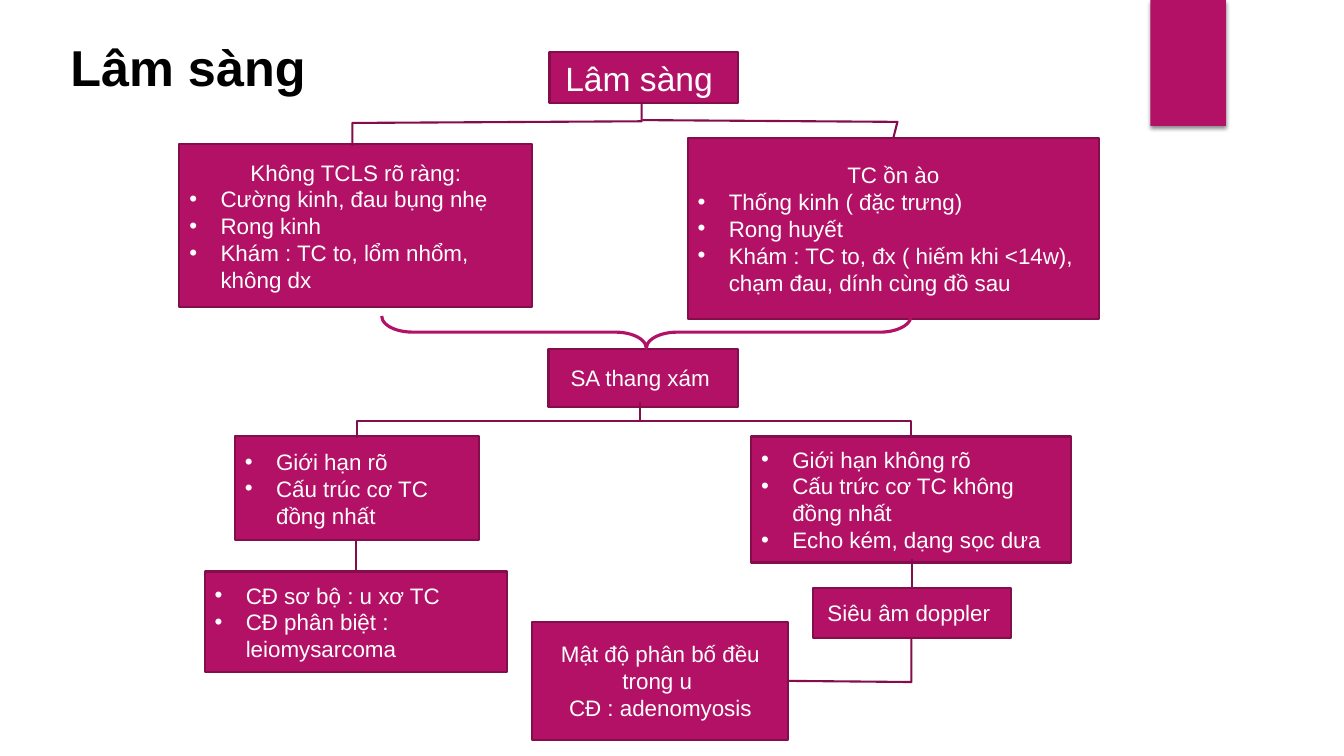
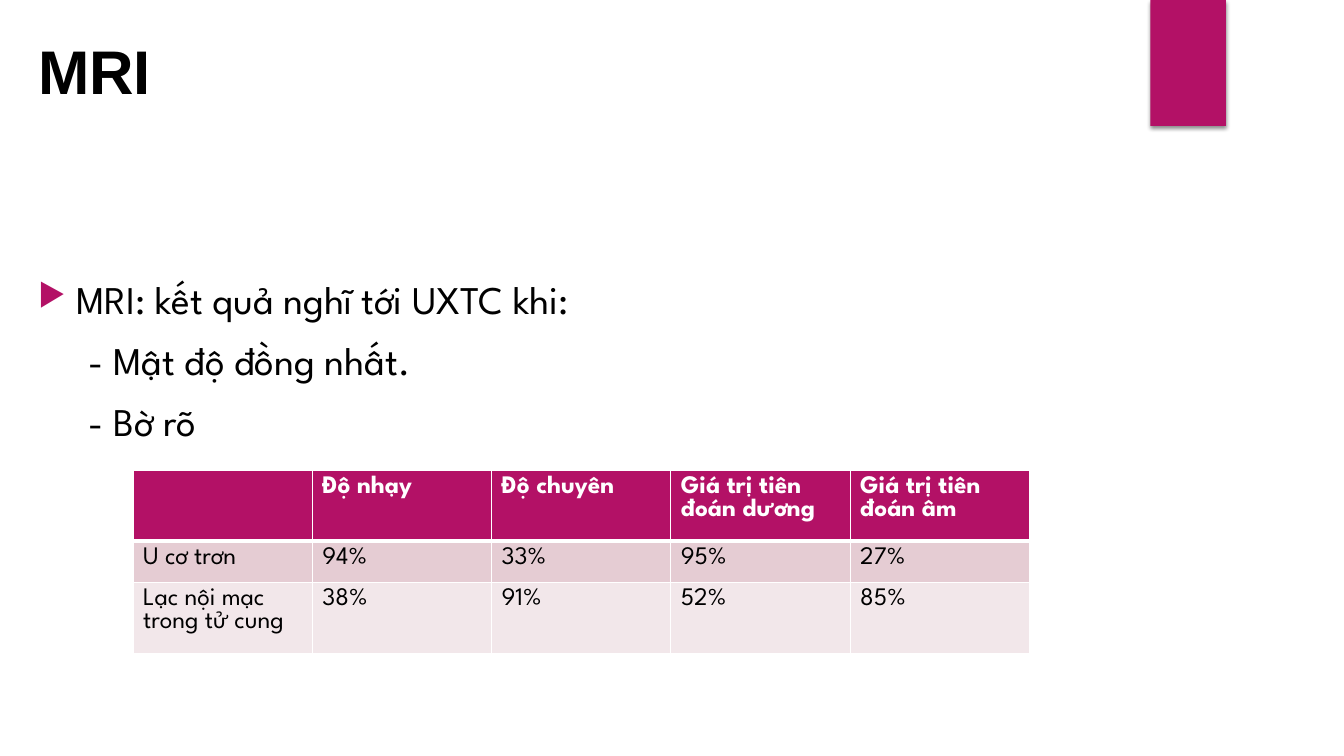
from lxml import etree
from pptx import Presentation
from pptx.dml.color import RGBColor
from pptx.enum.shapes import MSO_SHAPE
from pptx.enum.text import MSO_ANCHOR, PP_ALIGN
from pptx.oxml import parse_xml
from pptx.oxml.ns import nsdecls, qn
from pptx.util import Inches, Pt

MAGENTA = "B31166"
DARK_MAGENTA = "840D4B"
PINK = "E5CCD3"
PALE_PINK = "F2E7EA"
WHITE = "FFFFFF"
BLACK = "000000"


def color(hex_text):
    return RGBColor.from_string(hex_text)


def format_paragraph(paragraph, size, font_color, font_name="Arial", bold=False,
                     bullet=None, margin=0, indent=0):
    """Set indents, an optional bullet (a list of XML parts) and the run fonts."""
    properties = paragraph._p.get_or_add_pPr()
    properties.set("marL", str(Inches(margin)))
    properties.set("indent", str(Inches(indent)))
    for part in bullet or []:
        properties.append(parse_xml(part))
    for run in paragraph.runs:
        run.font.name = font_name
        run.font.size = Pt(size)
        run.font.bold = bold
        run.font.color.rgb = color(font_color)


namespace = nsdecls("a")
DOT = [f'<a:buFont {namespace} typeface="Arial"/>', f'<a:buChar {namespace} char="•"/>']
TRIANGLE = [
    f'<a:buClr {namespace}><a:srgbClr val="{MAGENTA}"/></a:buClr>',
    f'<a:buSzPct {namespace} val="80000"/>',
    f'<a:buChar {namespace} char="▶"/>',
]

presentation = Presentation()
presentation.slide_width = Inches(13.33)
presentation.slide_height = Inches(7.5)

# Shared band and title: text, size, left, top, width, height
titles = [
    ("Lâm sàng", 36, 0.6, 0.3, 2.65, 0.71),
    ("MRI", 44, 0.28, 0.4, 5.29, 0.58),
]
for title, size, left, top, width, height in titles:
    slide = presentation.slides.add_slide(presentation.slide_layouts[6])
    band = slide.shapes.add_shape(
        MSO_SHAPE.RECTANGLE, Inches(11.41), 0, Inches(0.75), Inches(1.25))
    band.fill.solid()
    band.fill.fore_color.rgb = color(MAGENTA)
    band.line.fill.background()
    band._element.spPr.append(parse_xml(
        f'<a:effectLst {namespace}><a:outerShdw blurRad="38100" dist="25400" dir="5400000">'
        f'<a:srgbClr val="{BLACK}"><a:alpha val="45000"/></a:srgbClr>'
        '</a:outerShdw></a:effectLst>'))

    title_box = slide.shapes.add_textbox(
        Inches(left), Inches(top), Inches(width), Inches(height))
    title_box.text_frame.word_wrap = True
    title_box.text_frame.vertical_anchor = MSO_ANCHOR.MIDDLE
    title_box.text_frame.text = title
    format_paragraph(title_box.text_frame.paragraphs[0], size, BLACK, bold=True)

flow_slide, mri_slide = presentation.slides

# Flowchart boxes: shape, position, leader line, font size, heading lines, bulleted lines
flow_boxes = [
    (MSO_SHAPE.RECTANGLE, (5.45, 0.52, 1.87, 0.5), [], 24, ["Lâm sàng "], []),
    (MSO_SHAPE.LINE_CALLOUT_3, (1.78, 1.43, 3.5, 1.62),
     [0.01, 0.49, -0.13, 0.49, -0.14, 1.31, -0.26, 1.31], 16,
     ["Không TCLS rõ ràng:"],
     ["Cường kinh, đau bụng nhẹ", "Rong kinh", "Khám : TC to, lổm nhổm, không dx"]),
    (MSO_SHAPE.LINE_CALLOUT_2, (6.82, 1.37, 4.08, 1.79),
     [0, 0.5, -0.09, 0.51, -0.1, -0.11], 16,
     ["TC ồn ào"],
     ["Thống kinh ( đặc trưng)", "Rong huyết",
      "Khám : TC to, đx ( hiếm khi <14w), chạm đau, dính cùng đồ sau"]),
    (MSO_SHAPE.RECTANGLE, (5.44, 3.46, 1.88, 0.58), [], 16, ["SA thang xám "], []),
    (MSO_SHAPE.LINE_CALLOUT_3, (2.33, 4.33, 2.42, 1.03),
     [0.02, 0.5, -0.15, 0.5, -0.15, 1.66, -0.33, 1.66], 16,
     [], ["Giới hạn rõ", "Cấu trúc cơ TC đồng nhất"]),
    (MSO_SHAPE.LINE_CALLOUT_2, (7.45, 4.33, 3.17, 1.25),
     [-0.01, 0.5, -0.12, 0.5, -0.12, -0.35], 16,
     [], ["Giới hạn không rõ", "Cấu trức cơ TC không đồng nhất", "Echo kém, dạng sọc dưa"]),
    (MSO_SHAPE.LINE_CALLOUT_1, (2.03, 5.67, 3, 1), [-0.01, 0.5, -0.32, 0.5], 16,
     [], ["CĐ sơ bộ : u xơ TC", "CĐ phân biệt : leiomysarcoma"]),
    (MSO_SHAPE.LINE_CALLOUT_1, (8.06, 5.83, 1.97, 0.5), [-0.01, 0.5, -0.56, 0.5], 16,
     ["Siêu âm doppler "], []),
    (MSO_SHAPE.LINE_CALLOUT_2, (5.28, 6.17, 2.54, 1.17),
     [0.5, 1, 0.51, 1.48, 0.14, 1.48], 16,
     ["Mật độ phân bố đều trong u ", "CĐ : adenomyosis"], []),
]
for preset, position, leader, size, headings, bullets in flow_boxes:
    box = flow_slide.shapes.add_shape(preset, *[Inches(value) for value in position])
    for index, value in enumerate(leader):
        box.adjustments[index] = value
    box.shadow.inherit = False
    box.fill.solid()
    box.fill.fore_color.rgb = color(MAGENTA)
    box.line.color.rgb = color(DARK_MAGENTA)
    box.line.width = Pt(1.5)
    frame = box.text_frame
    frame.word_wrap = True
    frame.vertical_anchor = MSO_ANCHOR.MIDDLE
    frame.text = "\n".join(headings + bullets)
    for index, paragraph in enumerate(frame.paragraphs):
        if index < len(headings):
            paragraph.alignment = PP_ALIGN.CENTER
            format_paragraph(paragraph, size, WHITE)
        else:
            paragraph.alignment = PP_ALIGN.LEFT
            format_paragraph(paragraph, size, WHITE, bullet=DOT, margin=0.31, indent=-0.31)

brace = flow_slide.shapes.add_shape(
    MSO_SHAPE.RIGHT_BRACE, Inches(6.25), Inches(0.67), Inches(0.32), Inches(5.25))
brace.rotation = 90
brace.adjustments[0] = 0.96
brace.adjustments[1] = 0.5
brace.shadow.inherit = False
brace.fill.background()
brace.line.color.rgb = color(MAGENTA)
brace.line.width = Pt(2.25)

# MRI findings
findings = mri_slide.shapes.add_textbox(
    Inches(0.28), Inches(2.68), Inches(6.29), Inches(1.99))
findings.text_frame.word_wrap = True
findings.text_frame.text = "MRI: kết quả nghĩ tới UXTC khi:\n- Mật độ đồng nhất.\n- Bờ rõ"
lead, *details = findings.text_frame.paragraphs
format_paragraph(lead, 28, BLACK, "League Spartan", bullet=TRIANGLE, margin=0.38, indent=-0.38)
for paragraph in details:
    paragraph.space_before = Pt(10)
    format_paragraph(paragraph, 28, BLACK, "League Spartan", margin=0.5)

# Diagnostic values
table_rows = [
    ["", "Độ nhạy", "Độ chuyên", "Giá trị tiên đoán dương", "Giá trị tiên đoán âm"],
    ["U cơ trơn", "94%", "33%", "95%", "27%"],
    ["Lạc nội mạc trong tử cung", "38%", "91%", "52%", "85%"],
]
row_fills = [MAGENTA, PINK, PALE_PINK]
table = mri_slide.shapes.add_table(
    len(table_rows), len(table_rows[0]),
    Inches(1.32), Inches(4.67), Inches(8.89), Inches(1.23)).table
for row_index, texts in enumerate(table_rows):
    table.rows[row_index].height = Inches(0.41)
    is_header = row_index == 0
    for column_index, text in enumerate(texts):
        cell = table.cell(row_index, column_index)
        cell.text = text
        format_paragraph(cell.text_frame.paragraphs[0], 18, WHITE if is_header else BLACK,
                         "League Spartan", bold=is_header)
        cell_properties = cell._tc.get_or_add_tcPr()
        for side in ("lnL", "lnR", "lnT", "lnB"):
            thick = (is_header and side == "lnB") or (row_index == 1 and side == "lnT")
            border = etree.SubElement(
                cell_properties, qn(f"a:{side}"), w=str(Pt(3 if thick else 1)))
            border_fill = etree.SubElement(border, qn("a:solidFill"))
            etree.SubElement(border_fill, qn("a:srgbClr"), val=WHITE)
        cell.fill.solid()
        cell.fill.fore_color.rgb = color(row_fills[row_index])

presentation.save("out.pptx")
